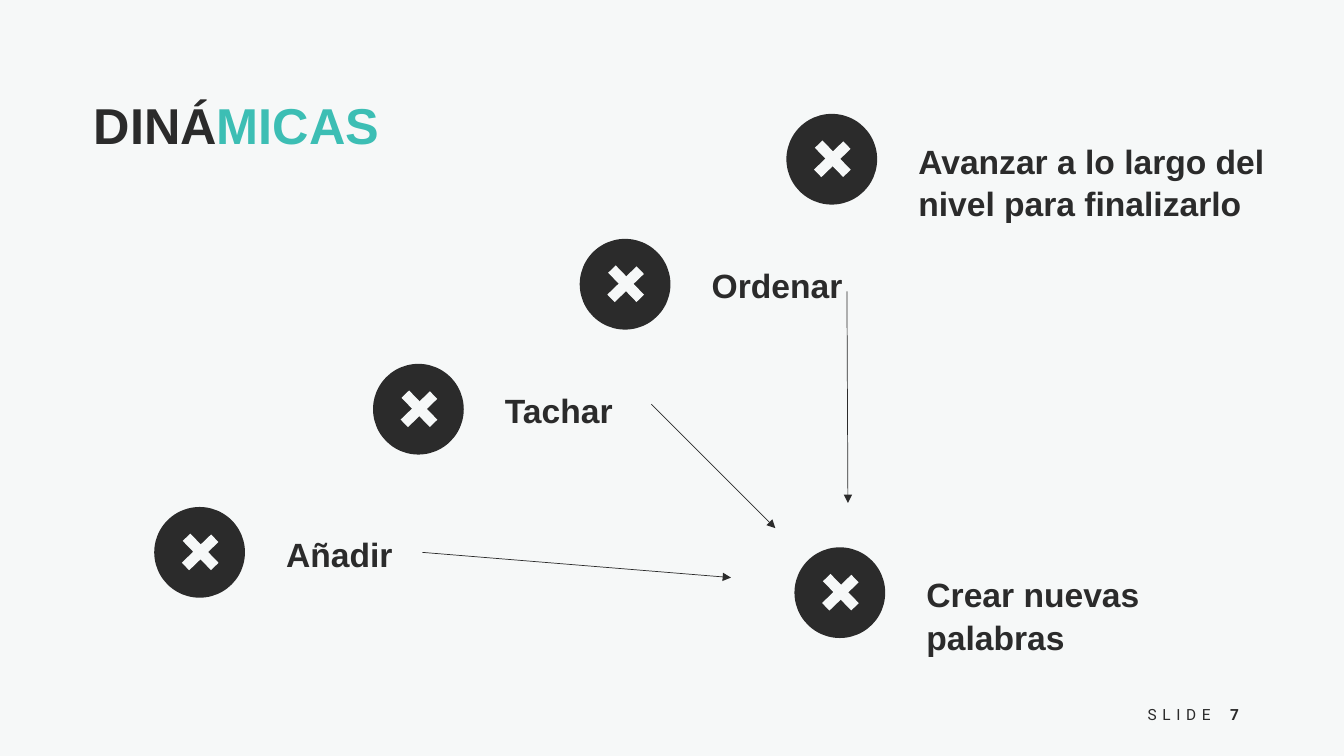
from lxml import etree
from pptx import Presentation
from pptx.dml.color import RGBColor
from pptx.enum.shapes import MSO_CONNECTOR, MSO_SHAPE
from pptx.enum.text import MSO_ANCHOR, MSO_AUTO_SIZE, PP_ALIGN
from pptx.oxml.ns import qn
from pptx.util import Inches, Pt

STRAIGHT = MSO_CONNECTOR.STRAIGHT
OVAL = MSO_SHAPE.OVAL
TOP, MIDDLE = MSO_ANCHOR.TOP, MSO_ANCHOR.MIDDLE
LEFT, CENTER = PP_ALIGN.LEFT, PP_ALIGN.CENTER
NO_AUTOSIZE = MSO_AUTO_SIZE.NONE

DARK = RGBColor(0x2B, 0x2B, 0x2B)
TEAL = RGBColor(0x3C, 0xBE, 0xB4)
LIGHT = RGBColor(0xF6, 0xF8, 0xF8)

TITLE = [("DINÁ", DARK), ("MICAS", TEAL)]
DYNAMICS = [
    ("Avanzar a lo largo del nivel para finalizarlo", 7.8, 1.13, 3.69, 0.91),
    ("Ordenar", 5.75, 2.37, 4.29, 0.5),
    ("Tachar", 3.7, 3.61, 2.9, 0.5),
    ("Añadir", 1.53, 5.03, 2.9, 0.5),
    ("Crear nuevas palabras", 7.88, 5.43, 3.61, 0.91),
]
ARROWS = [
    ((4.19, 5.48), (7.25, 5.73)),
    ((6.46, 4.01), (7.69, 5.24)),
    ((8.4, 2.89), (8.41, 4.99)),
]
FOOTER = [
    ("SLIDE", (11.26, 6.95, 0.87, 0.29), False, 400, TOP),
    ("7", (12.01, 6.86, 0.47, 0.45), True, 0, MIDDLE),
]

DIAMETER = 0.9
CROSS = [((0.6, 0.31), (0.31, 0.59)), ((0.6, 0.59), (0.32, 0.3))]
LABEL_OFFSET = (1.21, 0.19)

presentation = Presentation()
presentation.slide_width = Inches(13.33)
presentation.slide_height = Inches(7.5)
slide = presentation.slides.add_slide(presentation.slide_layouts[5])
slide.background.fill.solid()
slide.background.fill.fore_color.rgb = LIGHT


def style_font(font, name, size, color, bold=True):
    font.name, font.size, font.bold = name, Pt(size), bold
    font.color.rgb = color


def add_line(start, end, color, width):
    line = slide.shapes.add_connector(
        STRAIGHT, *(Inches(value) for value in (*start, *end)))
    line.line.color.rgb = color
    line.line.width = Pt(width)
    etree.SubElement(line._element.spPr, qn("a:effectLst"))
    return line


def add_text(text, box, wrap=True):
    shape = slide.shapes.add_textbox(*(Inches(value) for value in box))
    shape.text_frame.word_wrap = wrap
    paragraph = shape.text_frame.paragraphs[0]
    paragraph.text = text
    return shape.text_frame, paragraph


def add_dynamic(text, left, top, width, height):
    circle = slide.shapes.add_shape(
        OVAL, Inches(left), Inches(top), Inches(DIAMETER), Inches(DIAMETER))
    circle.shadow.inherit = False
    circle.fill.solid()
    circle.fill.fore_color.rgb = DARK
    circle.line.fill.background()
    for start, end in CROSS:
        add_line((left + start[0], top + start[1]),
                 (left + end[0], top + end[1]), LIGHT, 7.5)
    box = (left + LABEL_OFFSET[0], top + LABEL_OFFSET[1], width, height)
    paragraph = add_text(text, box)[1]
    paragraph.line_spacing = 1.06
    style_font(paragraph.font, "Arial", 24, DARK)


title = slide.shapes.title
title.left, title.top = Inches(0.83), Inches(0.88)
title.width, title.height = Inches(5.52), Inches(0.71)
title.text_frame.auto_size = NO_AUTOSIZE
title.text_frame.vertical_anchor = TOP
title_paragraph = title.text_frame.paragraphs[0]
title_paragraph.alignment = LEFT
for part, color in TITLE:
    run = title_paragraph.add_run()
    run.text = part
    style_font(run.font, "Arial", 36, color)

for dynamic in DYNAMICS:
    add_dynamic(*dynamic)

for start, end in ARROWS:
    arrow = add_line(start, end, DARK, 0.5)
    etree.SubElement(arrow.line._get_or_add_ln(), qn("a:tailEnd"), type="triangle")

for text, box, bold, spacing, anchor in FOOTER:
    frame, paragraph = add_text(text, box, wrap=False)
    frame.vertical_anchor = anchor
    paragraph.alignment = CENTER
    style_font(paragraph.font, "Roboto", 11, DARK, bold)
    paragraph.runs[0].font._element.set("spc", str(spacing))

presentation.save("out.pptx")
